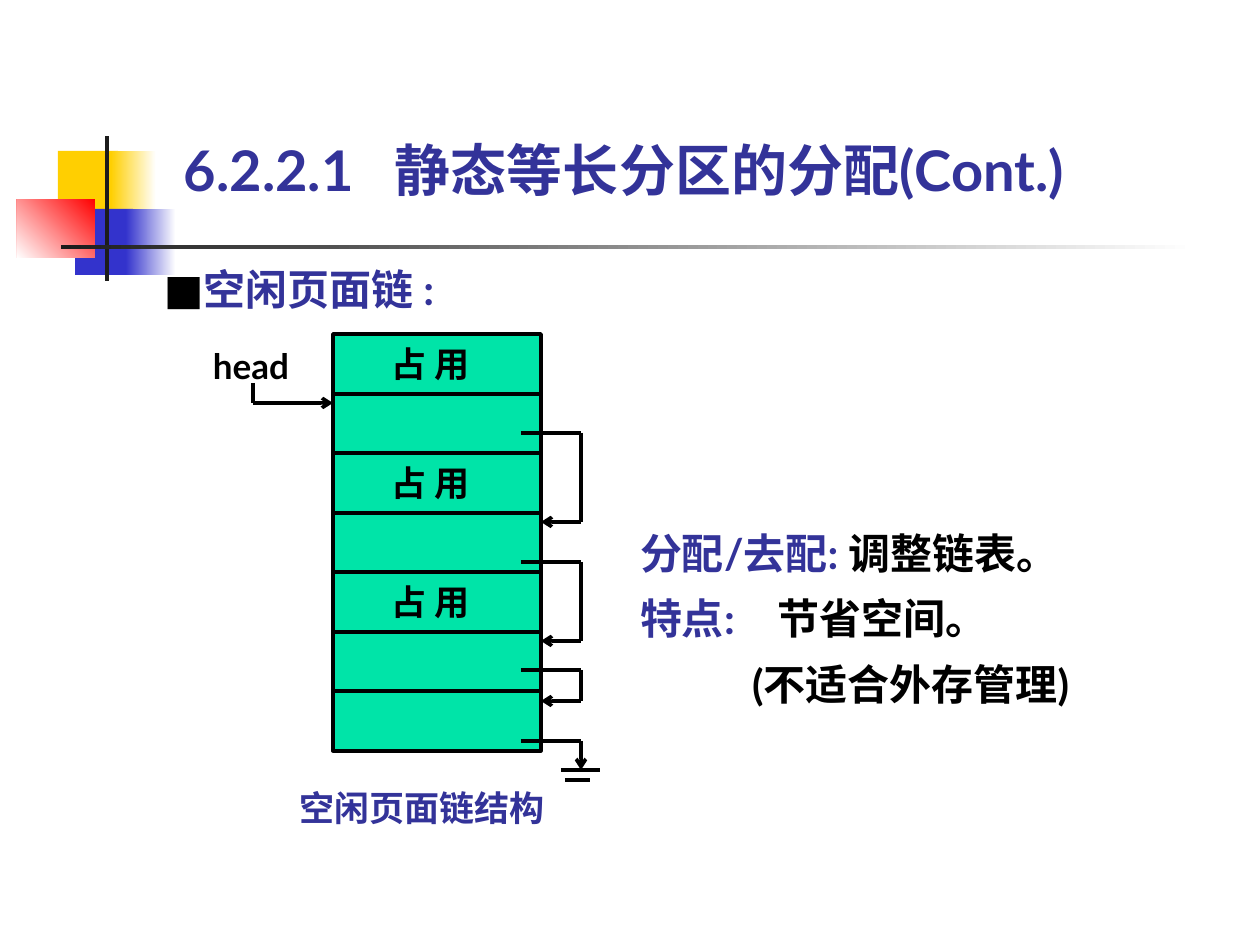
from dataclasses import dataclass

from lxml import etree
from pptx import Presentation
from pptx import util as u
from pptx.dml.color import RGBColor
from pptx.enum import shapes, text
from pptx.oxml.ns import qn

PX = 914400 / 126


@dataclass(frozen=True)
class Theme:
    font: str = "Lato"
    ink: str = "000000"
    heading: str = "333399"
    page: str = "00E4A8"
    yellow: str = "FFCF01"
    blue: str = "3333CC"
    red: str = "FF0000"
    rule: str = "1C1C1C"
    white: str = "FFFFFF"
    title_size: int = 32
    body_size: int = 24
    label_size: int = 20
    line_width: int = 2


THEME = Theme()


def px(value):
    return u.Emu(round(value * PX))


def rgb(value):
    return RGBColor.from_string(value)


def add_block(slide, box, color, fade_angle=None, outlined=False):
    """Rectangle, solid or fading to white in the given direction."""
    block = slide.shapes.add_shape(shapes.MSO_SHAPE.RECTANGLE, *map(px, box))
    block.shadow.inherit = False
    if fade_angle is None:
        block.fill.solid()
        block.fill.fore_color.rgb = rgb(color)
    else:
        block.fill.gradient()
        block.fill.gradient_angle = fade_angle
        for stop, shade in zip(block.fill.gradient_stops, (color, THEME.white)):
            stop.color.rgb = rgb(shade)
    if outlined:
        block.line.color.rgb = rgb(THEME.ink)
        block.line.width = u.Pt(THEME.line_width)
    else:
        block.line.fill.background()


def add_path(slide, *points, arrow=False):
    """Straight segments through the points, with an arrowhead on the last."""
    for start, end in zip(points, points[1:]):
        segment = slide.shapes.add_connector(
            shapes.MSO_CONNECTOR.STRAIGHT, *map(px, start + end))
        segment.line.color.rgb = rgb(THEME.ink)
        segment.line.width = u.Pt(THEME.line_width)
        if arrow and end == points[-1]:
            etree.SubElement(segment.line._get_or_add_ln(), qn("a:tailEnd"), type="arrow")
        etree.SubElement(segment._element.spPr, qn("a:effectLst"))


def prepare_frame(frame, anchor):
    frame.word_wrap = True
    frame.auto_size = text.MSO_AUTO_SIZE.NONE
    frame.vertical_anchor = anchor
    frame.margin_left = frame.margin_top = frame.margin_right = frame.margin_bottom = 0


def write(paragraph, runs, size, align=text.PP_ALIGN.LEFT, tab=None, indent=0, bullet=None):
    """Fill a paragraph with (wording, colour) runs."""
    paragraph.alignment = align
    props = paragraph._p.get_or_add_pPr()
    if indent:
        props.set("marL", str(px(indent)))
    if bullet:
        props.set("indent", str(-px(indent)))
        bullet_color = etree.SubElement(props, qn("a:buClr"))
        etree.SubElement(bullet_color, qn("a:srgbClr"), val=THEME.ink)
        etree.SubElement(props, qn("a:buFont"), typeface=THEME.font)
        etree.SubElement(props, qn("a:buChar"), char=bullet)
    if tab:
        tabs = etree.SubElement(props, qn("a:tabLst"))
        etree.SubElement(tabs, qn("a:tab"), pos=str(px(tab)), algn="l")
    for wording, color in runs:
        run = paragraph.add_run()
        run.text = wording
        run.font.name = THEME.font
        run.font.size = u.Pt(size)
        run.font.bold = True
        run.font.color.rgb = rgb(color)


def add_text(slide, box, anchor=text.MSO_ANCHOR.TOP):
    frame = slide.shapes.add_textbox(*map(px, box)).text_frame
    prepare_frame(frame, anchor)
    return frame


def add_label(slide, box, wording, color=THEME.ink, anchor=text.MSO_ANCHOR.TOP,
              size=THEME.label_size, **layout):
    frame = add_text(slide, box, anchor)
    write(frame.paragraphs[0], [(wording, color)], size, **layout)


def add_ornament(slide):
    add_block(slide, (58, 151, 60, 66), THEME.yellow)
    add_block(slide, (111, 151, 45, 66), THEME.yellow, 0)
    add_block(slide, (75, 209, 58, 66), THEME.blue)
    add_block(slide, (126, 209, 50, 66), THEME.blue, 0)
    add_block(slide, (17, 199, 78, 59), THEME.red, 225)
    add_block(slide, (105, 136, 4, 145), THEME.rule)
    add_block(slide, (61, 245, 1134, 4), THEME.rule, 0)


def set_title(slide):
    title = slide.shapes.title
    title.left, title.top, title.width, title.height = map(px, (184, 136, 973, 67))
    prepare_frame(title.text_frame, text.MSO_ANCHOR.BOTTOM)
    write(title.text_frame.paragraphs[0],
          [("6.2.2.1\t静态等长分区的分配(Cont.)", THEME.heading)],
          THEME.title_size, tab=211)


def add_page_chain(slide):
    left, top, width, height, pages = 333, 334, 208, 417, 7
    right = left + width
    link_start, link_turn = right - 20, right + 40

    # Memory pages
    add_block(slide, (left, top, width, height), THEME.page, outlined=True)
    for row in range(1, pages):
        y = round(top + height * row / pages)
        add_path(slide, (left, y), (right, y))
    for row in (0, 2, 4):
        add_label(slide, (392, round(top + height * row / pages) + 8, 90, 42), "占 用")

    # Head pointer
    add_label(slide, (213, 344, 90, 42), "head")
    add_path(slide, (253, 383), (253, 403), (left, 403), arrow=True)

    # Links between free pages
    for start, end in ((433, 522), (562, 641), (670, 701)):
        add_path(slide, (link_start, start), (link_turn, start),
                 (link_turn, end), (right, end), arrow=True)

    # End of chain
    add_path(slide, (link_start, 741), (link_turn, 741), (link_turn, 770), arrow=True)
    add_path(slide, (561, 770), (600, 770))
    add_path(slide, (565, 780), (590, 780))

    add_label(slide, (253, 780, 338, 49), "空闲页面链结构", THEME.heading,
              text.MSO_ANCHOR.BOTTOM, align=text.PP_ALIGN.CENTER)


def add_remarks(slide):
    frame = add_text(slide, (640, 512, 546, 197))
    remarks = (
        ([("分配/去配: ", THEME.heading), ("调整链表。", THEME.ink)], {}),
        ([("特点:\t", THEME.heading), ("节省空间。", THEME.ink)], {"tab": 137}),
        ([("(不适合外存管理)", THEME.ink)], {"indent": 112}),
    )
    for index, (runs, layout) in enumerate(remarks):
        paragraph = frame.add_paragraph() if index else frame.paragraphs[0]
        write(paragraph, runs, THEME.body_size, **layout)
        paragraph.line_spacing = 1.3


def main():
    deck = Presentation()
    deck.slide_width, deck.slide_height = u.Inches(10), u.Inches(7.5)
    slide = deck.slides.add_slide(deck.slide_layouts[5])
    add_ornament(slide)
    set_title(slide)
    add_label(slide, (164, 263, 318, 51), "空闲页面链 :", THEME.heading,
              text.MSO_ANCHOR.BOTTOM, THEME.body_size, indent=40, bullet="■")
    add_page_chain(slide)
    add_remarks(slide)
    deck.save("out.pptx")


if __name__ == "__main__":
    main()
